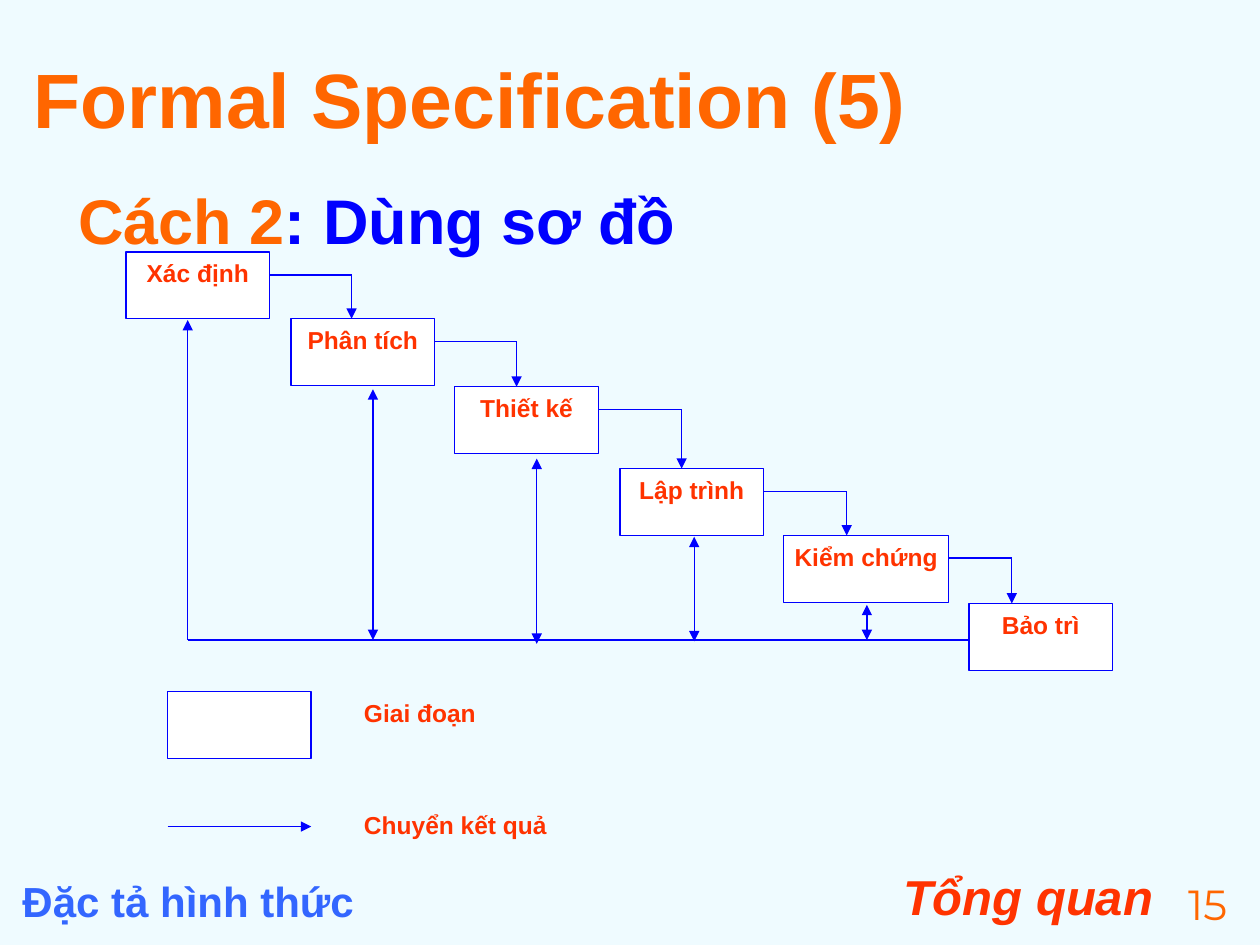
from lxml.etree import SubElement as Sub
from pptx import Presentation as Deck
from pptx.dml.color import RGBColor as Color
from pptx.enum.shapes import MSO_CONNECTOR as Link, MSO_SHAPE as Shape
from pptx.enum.text import MSO_ANCHOR as Anchor, PP_ALIGN as Align
from pptx.oxml.ns import qn
from pptx.util import Inches, Pt

HUES = {"back": "EFFBFF", "blue": "0000FF", "sky": "3366FF",
        "orange": "FF6600", "red": "FF3300", "white": "FFFFFF"}
LABEL = {"size": Pt(14), "name": "Arial", "bold": True}
HEAD = {**LABEL, "size": Pt(44)}
LEAD = {**LABEL, "size": Pt(36)}
FOOT = {**LABEL, "size": Pt(24)}
TOPIC = {**LABEL, "size": Pt(28), "italic": True}
PAGE = {"size": Pt(24), "name": "Montserrat"}
STAGES = [("Xác định", 1, 2, 1.14), ("Phân tích", 2.31, 2.53, 1.14),
          ("Thiết kế", 3.61, 3.07, 1.14), ("Lập trình", 4.92, 3.72, 1.14),
          ("Kiểm chứng", 6.22, 4.25, 1.31), ("Bảo trì", 7.69, 4.79, 1.14)]
LOOPS = [(2.96, 3.09, 5.08), (4.26, 3.64, 5.11), (5.51, 4.26, 5.09), (6.88, 4.8, 5.08)]
TALL = 0.53
BASE = 5.08
LEFT = 1.49


def hue(key):
    return Color.from_string(HUES[key])


def assign(item, values):
    for key, value in values.items():
        setattr(item, key, value)


def write(shape, runs, style, align=Align.LEFT, side=0.1, top=0.05, anchor=Anchor.TOP):
    frame = shape.text_frame
    assign(frame, {"word_wrap": True, "vertical_anchor": anchor,
                   "margin_left": Inches(side), "margin_right": Inches(side),
                   "margin_top": Inches(top), "margin_bottom": Inches(0.05)})
    para = frame.paragraphs[0]
    para.alignment = align
    for text, key in runs:
        run = para.add_run()
        run.text = text
        assign(run.font, style)
        run.font.color.rgb = hue(key)


def add_text(slide, area, runs, style, **extra):
    shape = slide.shapes.add_textbox(*map(Inches, area))
    write(shape, runs, style, **extra)


def add_stage(slide, x, y, wide, text=""):
    shape = slide.shapes.add_shape(Shape.RECTANGLE, *map(Inches, (x, y, wide, TALL)))
    shape.shadow.inherit = False
    shape.fill.solid()
    shape.fill.fore_color.rgb = hue("white")
    shape.line.color.rgb = hue("blue")
    shape.line.width = Pt(0.75)
    if text:
        write(shape, [(text, "red")], LABEL, align=Align.CENTER, side=0.02)


def add_line(slide, start, end, ends=(), width=0.75):
    line = slide.shapes.add_connector(Link.STRAIGHT, *map(Inches, start + end))
    line.line.color.rgb = hue("blue")
    line.line.width = Pt(width)
    props = line.line._get_or_add_ln()
    for tag in ends:
        Sub(props, qn(f"a:{tag}"), type="triangle")
    Sub(line._element.spPr, qn("a:effectLst"))


def add_flow(slide):
    for text, x, y, wide in STAGES:
        add_stage(slide, x, y, wide, text)
    for i, (stage, after) in enumerate(zip(STAGES, STAGES[1:])):
        text, x, y, wide = stage
        turn, level = 2.79 + 1.31 * i, y + 0.18
        add_line(slide, (x + wide, level), (turn, level), width=1)
        add_line(slide, (turn, level), (turn, after[2]), ["tailEnd"])
    add_line(slide, (7.69, BASE), (LEFT, BASE))
    add_line(slide, (LEFT, BASE), (LEFT, 2.54), ["tailEnd"])
    for x, top, low in LOOPS:
        add_line(slide, (x, top), (x, low), ["headEnd", "tailEnd"])


def add_key(slide):
    add_stage(slide, 1.33, 5.49, 1.14)
    add_line(slide, (1.33, 6.56), (2.47, 6.56), ["tailEnd"])
    for text, y, wide in [("Giai đoạn", 5.49, 1.31), ("Chuyển kết quả", 6.38, 1.79)]:
        add_text(slide, (2.79, y, wide, TALL), [(text, "red")], LABEL)


def main():
    deck = Deck()
    deck.slide_width, deck.slide_height = Inches(10), Inches(7.5)
    slide = deck.slides.add_slide(deck.slide_layouts[6])
    slide.background.fill.solid()
    slide.background.fill.fore_color.rgb = hue("back")
    add_text(slide, (4.83, 6.83, 4.42, 0.52), [("Tổng quan", "red")], TOPIC, align=Align.RIGHT)
    add_text(slide, (0.08, 6.9, 4.75, 0.44), [("Đặc tả hình thức", "sky")], FOOT)
    add_text(slide, (9.25, 6.92, 0.67, 0.44), [("15", "orange")], PAGE, align=Align.CENTER)
    add_text(slide, (0.17, 0.3, 9.74, 0.95), [("Formal Specification (5)", "orange")], HEAD,
             anchor=Anchor.MIDDLE)
    add_text(slide, (0.17, 1.33, 9.71, 5.42), [("Cách 2", "orange"), (": Dùng sơ đồ", "blue")],
             LEAD, side=0.45, top=0.11)
    add_flow(slide)
    add_key(slide)
    deck.save("out.pptx")


if __name__ == "__main__":
    main()
